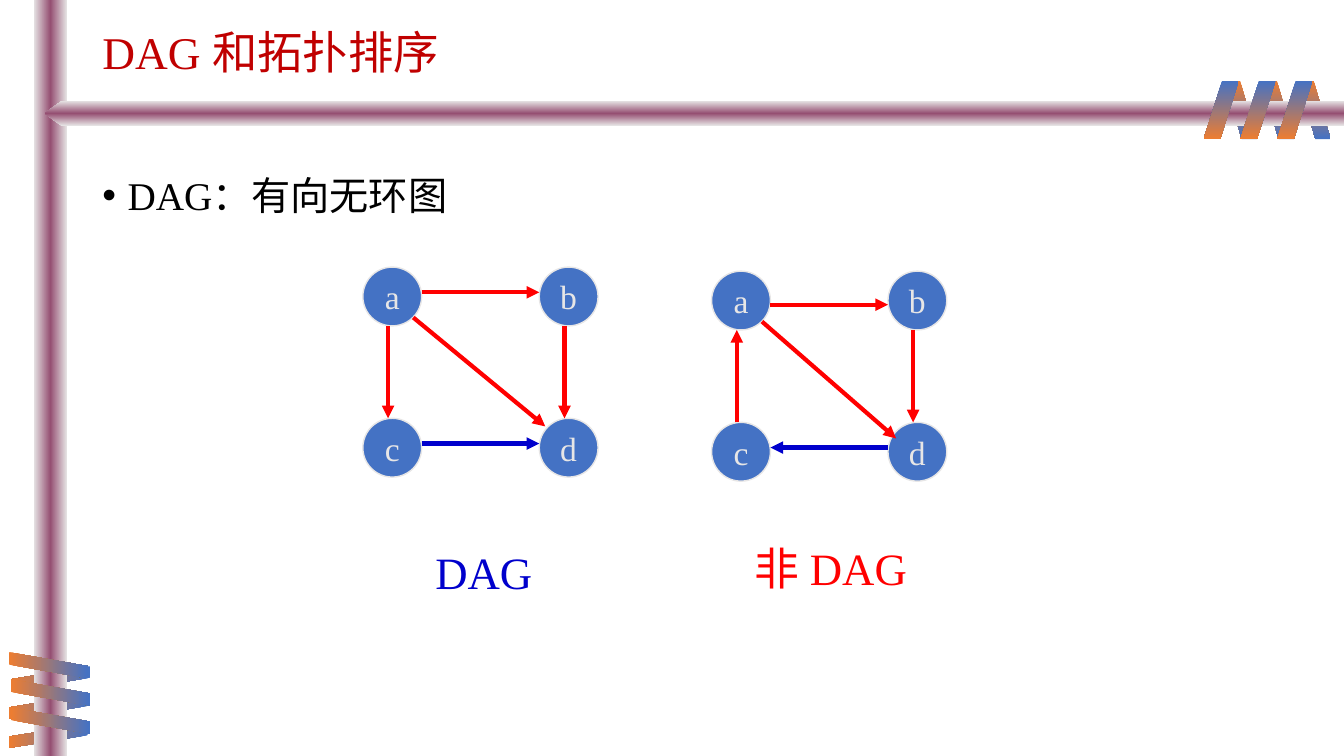
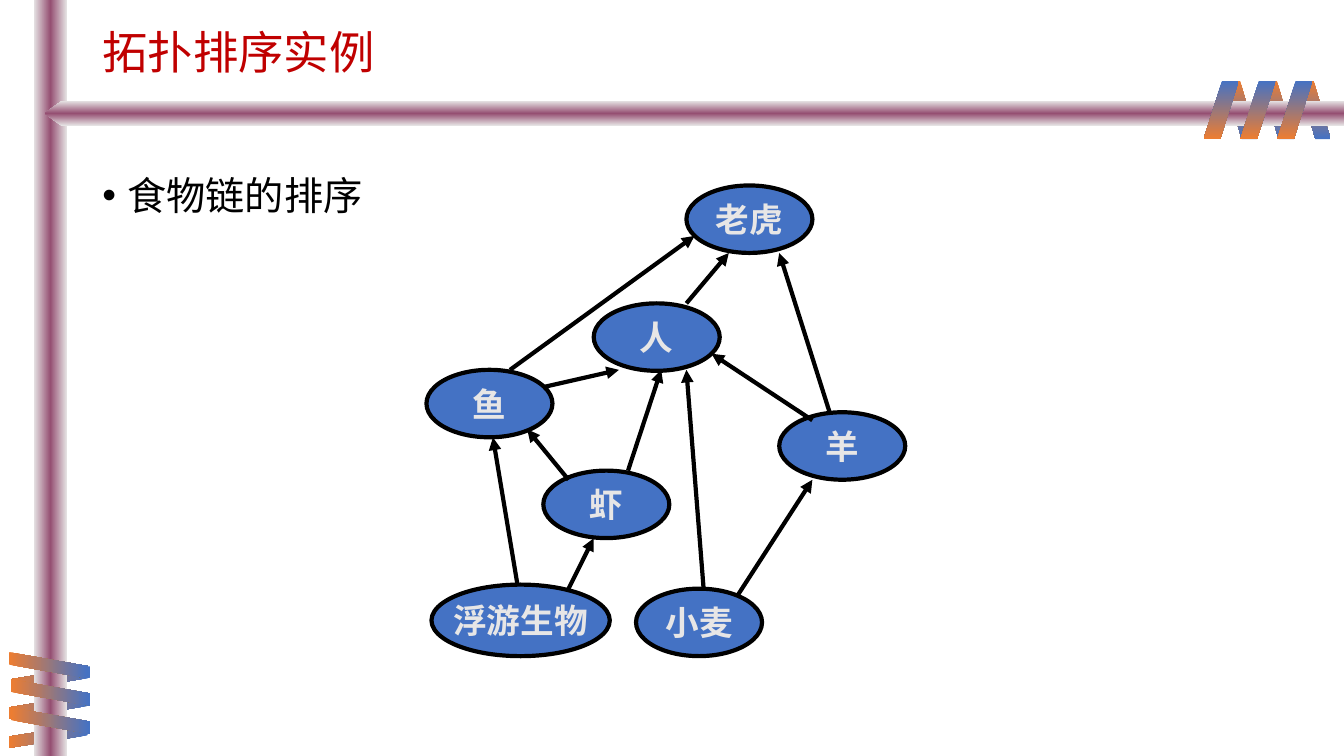
from lxml.etree import SubElement
from pptx import Presentation
from pptx.dml.color import RGBColor
from pptx.enum.shapes import MSO_CONNECTOR, MSO_SHAPE
from pptx.enum.text import MSO_ANCHOR, MSO_AUTO_SIZE, PP_ALIGN
from pptx.oxml.ns import qn
from pptx.util import Pt

LATIN, CJK = "Times New Roman", "Noto Sans CJK SC"
BLUE, ORANGE, PLUM, PALE = "4472C4", "ED7D31", "954F72", "E7E6E6"
BLACK, RED, NAVY, WINE = "000000", "FF0000", "0000CC", "C00000"

WARM, COOL, BAR = (ORANGE, BLUE), (BLUE, ORANGE), (PALE, PLUM, PALE)
SLANT = MSO_SHAPE.PARALLELOGRAM

# Ribbons: left and top of each piece, size, rotation, flip, colours, angle
SIDE_BACK = ([(27.4, 456.5), (25.9, 476.6), (25.9, 497.5)], (17.3, 56.2), 90, True, COOL, 0)
SIDE_FRONT = ([(25.2, 447.1), (26.6, 466.6), (26.6, 486.7)], (18.7, 56.2), 270, False, WARM, 0)
TOP_BACK = ([(927.4 - 26.3 * i, 57.6) for i in range(3)], (23, 41.8), 180, True, WARM, 90)
TOP_FRONT = ([(912.3 - 26.3 * i, 57.6) for i in range(3)], (25.2, 41.8), 0, False, COOL, 90)

# Square graphs: origin, arrows (colour, from, to), caption
DOWN = (RED, (144, 42), (144, 108))
GRAPHS = [
    {"at": (259.2, 190.8),
     "arrows": [(RED, (42, 18), (126, 18)), (RED, (18, 42), (18, 108)),
                (NAVY, (42, 126), (126, 126)), DOWN, (RED, (36, 36), (130.3, 113.8))],
     "label": ("DAG", NAVY, (295.9, 385.9, 99.4, 45.4))},
    {"at": (508.3, 193.7),
     "arrows": [(RED, (18, 108), (18, 42)), (NAVY, (126, 126), (42, 126)), DOWN,
                (RED, (42, 24), (126, 24)), (RED, (36, 36), (131.8, 119.5))],
     "label": ("非 DAG", RED, (519.8, 383, 147.6, 45.4))},
]

FOODS = [
    ("鱼", 304.6, 264.2), ("人", 424.1, 216.7), ("虾", 388.1, 336.2),
    ("羊", 556.6, 294.5), ("小麦", 454.3, 420.5), ("老虎", 490.3, 132.5),
]
PLANKTON = ("浮游生物", (308.2, 417.6, 127.4, 51.1))
EATEN = [
    ((490.3, 216.7), (520.6, 180.7)), ((388.1, 276.5), (442.1, 264.2)),
    ((580.3, 300.2), (508.3, 252.7)), ((448.6, 336.2), (472.3, 264.2)),
    ((406.1, 342.7), (376.6, 306.7)), ((370.1, 420.5), (352.1, 312.5)),
    ((502.6, 420.5), (490.3, 264.2)), ((526.3, 426.2), (580.3, 342.7)),
    ((364.3, 264.2), (496.1, 168.5)), ((592.6, 294.5), (556.6, 180.7)),
    ((406.1, 420.5), (424.1, 384.5)),
]


def rgb(code):
    return RGBColor.from_string(code)


def pts(*nums):
    return [Pt(n) for n in nums]


def write(shape, text, size, color, face=LATIN, bold=False, align=PP_ALIGN.LEFT):
    para = shape.text_frame.paragraphs[0]
    para.alignment = align
    run = para.add_run()
    run.text = text
    font = run.font
    font.size, font.name, font.bold = Pt(size), face, bold
    font.color.rgb = rgb(color)
    for props in shape.element.iter(qn("a:rPr")):
        SubElement(props, qn("a:ea"), typeface=CJK)
    return para


def text_box(slide, box):
    shape = slide.shapes.add_textbox(*pts(*box))
    shape.text_frame.word_wrap = True
    return shape


def blend(shape, colors, angle):
    """Fill with evenly spaced colours that do not turn with the shape."""
    shape.fill.gradient()
    grad = shape.element.spPr.find(qn("a:gradFill"))
    grad.set("rotWithShape", "0")
    for child in list(grad):
        grad.remove(child)
    stops = SubElement(grad, qn("a:gsLst"))
    for i, code in enumerate(colors):
        stop = SubElement(stops, qn("a:gs"), pos=str(100000 * i // (len(colors) - 1)))
        SubElement(stop, qn("a:srgbClr"), val=code)
    SubElement(grad, qn("a:lin"), ang=str(angle * 60000), scaled="0")


def trim(slide, kind, box, colors, angle, adj=None, turn=0, flip=False):
    """Draw one piece of the frame."""
    shape = slide.shapes.add_shape(kind, *pts(*box))
    shape.shadow.inherit = False
    shape.line.fill.background()
    blend(shape, colors, angle)
    shape.rotation = turn
    if adj:
        shape.adjustments[0] = adj
    if flip:
        shape.element.spPr.find(qn("a:xfrm")).set("flipH", "1")
    return shape


def ribbon(slide, spots, size, turn, flip, colors, angle):
    return [trim(slide, SLANT, spot + size, colors, angle, 0.53, turn, flip)
            for spot in spots]


def frame(slide, layout):
    """Draw the frame and hand it to the layout, where all slides share it."""
    for holder in list(layout.placeholders)[1:]:
        holder.element.getparent().remove(holder.element)
    parts = ribbon(slide, *SIDE_BACK)
    parts.append(trim(slide, MSO_SHAPE.RECTANGLE, (24, 0, 24, 540), BAR, 0))
    parts += ribbon(slide, *SIDE_FRONT) + ribbon(slide, *TOP_BACK)
    parts.append(trim(slide, MSO_SHAPE.PENTAGON, (31.9, 72, 928.1, 18), BAR, 90,
                      0.68, flip=True))
    parts += ribbon(slide, *TOP_FRONT)
    for part in parts:
        layout.shapes.element.append(part.element)


def start(deck, layout, title, point):
    """Add a slide with its title and its bullet."""
    slide = deck.slides.add_slide(layout)
    head = slide.shapes.title
    head.left, head.top, head.width, head.height = pts(66, 18, 870.5, 42)
    head.text_frame.auto_size = MSO_AUTO_SIZE.NONE
    head.text_frame.vertical_anchor = MSO_ANCHOR.MIDDLE
    write(head, title, 32.4, WINE).line_spacing = 0.9

    body = text_box(slide, (66, 102.2, 870.5, 383.8))
    para = body.text_frame.paragraphs[0]
    para.line_spacing = 1.5
    props = body.element.find(".//" + qn("a:pPr"))
    props.set("marL", str(Pt(18)))
    props.set("indent", str(-Pt(18)))
    SubElement(props, qn("a:buFont"), typeface="Arial")
    SubElement(props, qn("a:buChar"), char="•")
    write(body, point, 28, BLACK)
    return slide


def node(slide, text, box, edge, width, face=LATIN, bold=False):
    shape = slide.shapes.add_shape(MSO_SHAPE.OVAL, *pts(*box))
    shape.shadow.inherit = False
    shape.fill.solid()
    shape.fill.fore_color.rgb = rgb(BLUE)
    shape.line.color.rgb = rgb(edge)
    shape.line.width = Pt(width)
    shape.text_frame.word_wrap = False
    shape.text_frame.vertical_anchor = MSO_ANCHOR.MIDDLE
    write(shape, text, 24, PALE, face, bold, PP_ALIGN.CENTER)


def arrow(slide, tail, tip, color):
    link = slide.shapes.add_connector(MSO_CONNECTOR.STRAIGHT, *pts(*tail, *tip))
    link.line.color.rgb = rgb(color)
    link.line.width = Pt(3)
    SubElement(link.line._get_or_add_ln(), qn("a:tailEnd"), type="triangle")
    SubElement(link.element.spPr, qn("a:effectLst"))


def square(slide, graph):
    """Draw four nodes on a grid, their arrows and a caption."""
    x, y = graph["at"]
    for i, name in enumerate("abcd"):
        row, col = divmod(i, 2)
        node(slide, name, (x + 126 * col, y + 108 * row, 42, 42), PALE, 1)
    for color, tail, tip in graph["arrows"]:
        arrow(slide, (x + tail[0], y + tail[1]), (x + tip[0], y + tip[1]), color)
    text, color, box = graph["label"]
    write(text_box(slide, box), text, 32, color, align=PP_ALIGN.CENTER)


def chain(slide):
    """Draw the food chain."""
    for name, x, y in FOODS:
        node(slide, name, (x, y, 90, 48.2), BLACK, 3, CJK, True)
    for tail, tip in EATEN:
        arrow(slide, tail, tip, BLACK)
    node(slide, *PLANKTON, BLACK, 3, CJK, True)


def main():
    deck = Presentation()
    deck.slide_width, deck.slide_height = pts(960, 540)
    layout = deck.slide_layouts[5]

    first = start(deck, layout, "DAG 和拓扑排序", "DAG：有向无环图")
    frame(first, layout)
    for graph in GRAPHS:
        square(first, graph)

    chain(start(deck, layout, "拓扑排序实例", "食物链的排序"))
    deck.save("out.pptx")


if __name__ == "__main__":
    main()
